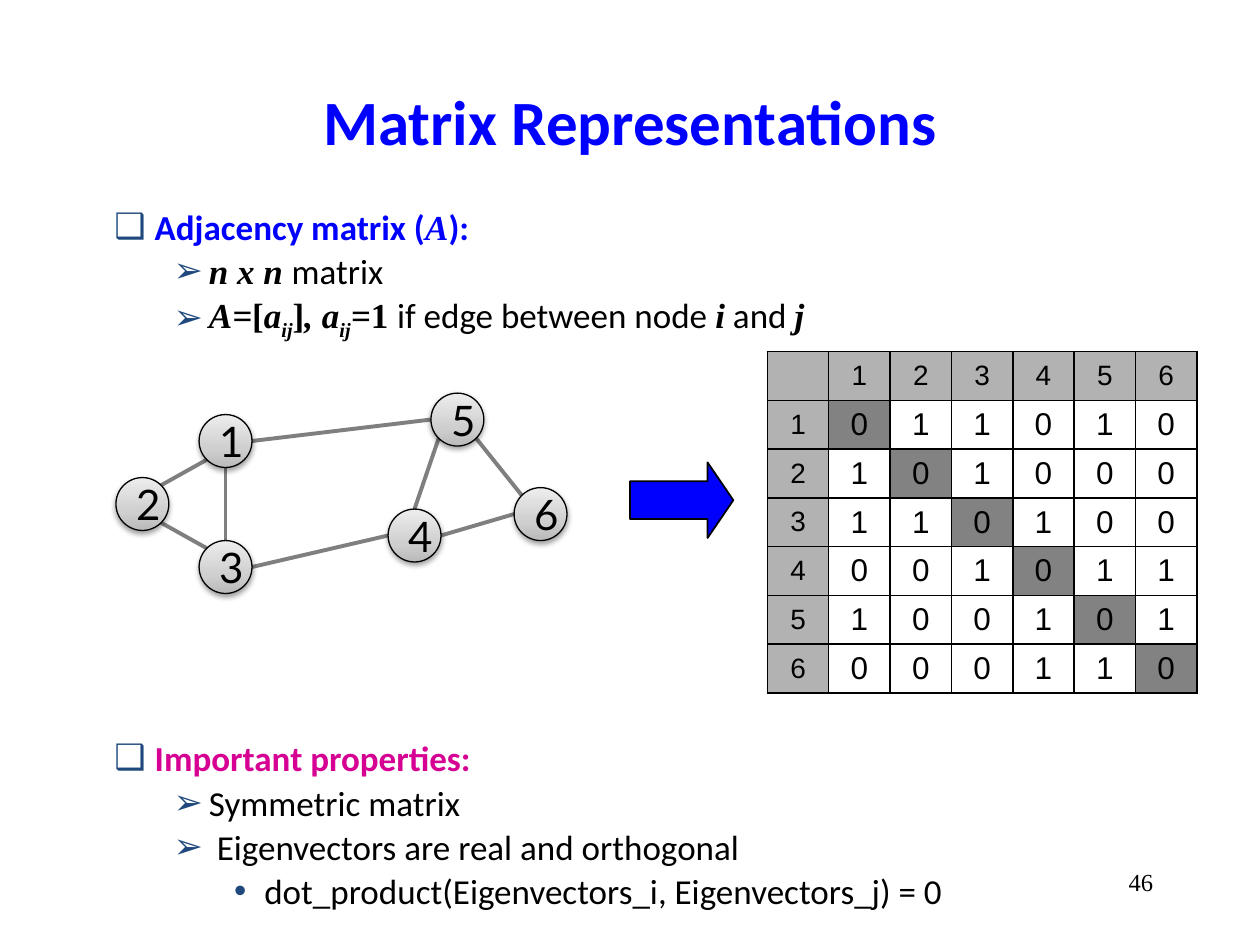
from math import cos, radians, sin

from lxml import etree
from pptx import Presentation
from pptx.dml.color import RGBColor
from pptx.enum.shapes import MSO_CONNECTOR, MSO_SHAPE
from pptx.enum.text import MSO_ANCHOR, PP_ALIGN
from pptx.oxml import parse_xml
from pptx.oxml.ns import nsdecls, qn
from pptx.util import Inches, Pt

CENTER, RIGHT = PP_ALIGN.CENTER, PP_ALIGN.RIGHT
TOP, MIDDLE = MSO_ANCHOR.TOP, MSO_ANCHOR.MIDDLE
OVAL, ARROW = MSO_SHAPE.OVAL, MSO_SHAPE.RIGHT_ARROW
STRAIGHT = MSO_CONNECTOR.STRAIGHT

BLACK, BLUE, PINK, NAVY = "000000", "0000FF", "D60093", "1F497D"
HEADER_GRAY, EDGE_GRAY = "B2B2B2", "7F7F7F"

# Run styles: font, bold, italic, baseline shift
PLAIN = ("Calibri", False, False, 0)
BOLD = ("Calibri", True, False, 0)
SERIF = ("Times New Roman", True, False, 0)
MATH = ("Times New Roman", True, True, 0)
SUB = ("Times New Roman", True, True, -25000)

# Outline levels: bullet, left margin, hanging indent, space before in points
LEVELS = [("❑", 0.38, 0.32, 1.4), ("➢", 0.81, 0.28, 1.2), ("•", 1.25, 0.24, 1.1)]

ADJACENCY_OUTLINE = [
    (0, BLUE, [("Adjacency matrix (", BOLD), ("A", MATH), ("):", BOLD)]),
    (1, BLACK, [("n x n ", MATH), ("matrix", PLAIN)]),
    (1, BLACK, [("A=", MATH), ("[", SERIF), ("a", MATH), ("ij", SUB), ("]", SERIF),
                (", a", MATH), ("ij", SUB), ("=", MATH), ("1 ", SERIF),
                ("if edge between node ", PLAIN), ("i", MATH), (" and ", PLAIN),
                ("j", MATH)]),
]
PROPERTIES_OUTLINE = [
    (0, PINK, [("Important properties:", BOLD)]),
    (1, BLACK, [("Symmetric matrix", PLAIN)]),
    (1, BLACK, [(" Eigenvectors are real and orthogonal", PLAIN)]),
    (2, BLACK, [("dot_product(Eigenvectors_i, Eigenvectors_j) = 0", PLAIN)]),
]

# Node centres relative to the graph's top left corner
NODE_SIZE = 0.42
NODES = {1: (0.87, 0.38), 2: (0.21, 0.88), 3: (0.87, 1.38),
         4: (2.37, 1.13), 5: (2.71, 0.21), 6: (3.37, 0.96)}
# Node pair -> clockwise angles at which the edge leaves and enters
EDGES = {(1, 2): (135, 315), (2, 3): (45, 225), (1, 3): (90, 270), (1, 5): (0, 180),
         (3, 4): (0, 180), (5, 6): (45, 225), (4, 6): (0, 180), (5, 4): (135, 270)}


def color(hex_code):
    return RGBColor.from_string(hex_code)


def style_font(font, name, size, hex_code, bold=False):
    font.name, font.size, font.bold = name, Pt(size), bold
    font.color.rgb = color(hex_code)


def add_text_frame(slide, box):
    frame = slide.shapes.add_textbox(*map(Inches, box)).text_frame
    frame.word_wrap = True
    return frame


def add_label(slide, box, text, align, font, anchor=TOP):
    frame = add_text_frame(slide, box)
    frame.vertical_anchor = anchor
    paragraph = frame.paragraphs[0]
    paragraph.text, paragraph.alignment = text, align
    style_font(paragraph.font, *font)


def set_bullet(paragraph, bullet, margin, hanging):
    properties = paragraph._p.get_or_add_pPr()
    properties.set("marL", str(Inches(margin)))
    properties.set("indent", str(-Inches(hanging)))
    bullet_color = etree.SubElement(properties, qn("a:buClr"))
    etree.SubElement(bullet_color, qn("a:srgbClr"), val=NAVY)
    etree.SubElement(properties, qn("a:buFont"), typeface="Arial")
    etree.SubElement(properties, qn("a:buChar"), char=bullet)


def add_outline(slide, box, outline):
    frame = add_text_frame(slide, box)
    for index, (level, hex_code, runs) in enumerate(outline):
        paragraph = frame.add_paragraph() if index else frame.paragraphs[0]
        bullet, margin, hanging, space = LEVELS[level]
        paragraph.level = level
        set_bullet(paragraph, bullet, margin, hanging)
        paragraph.space_before = Pt(space if index else 0)
        for text, (font_name, bold, italic, baseline) in runs:
            run = paragraph.add_run()
            run.text = text
            style_font(run.font, font_name, 20, hex_code, bold)
            run.font.italic = italic
            if baseline:
                run._r.get_or_add_rPr().set("baseline", str(baseline))


def add_arrow(slide, box):
    arrow = slide.shapes.add_shape(ARROW, *map(Inches, box))
    arrow.adjustments[1] = 0.34
    arrow.shadow.inherit = False
    arrow.fill.solid()
    arrow.fill.fore_color.rgb = color(BLUE)
    arrow.line.color.rgb = color(BLACK)
    arrow.line.width = Pt(1)


def add_edge(shapes, start, end):
    edge = shapes.add_connector(STRAIGHT, *map(Inches, (*start, *end)))
    edge.line.color.rgb = color(EDGE_GRAY)
    edge.line.width = Pt(2.25)
    etree.SubElement(edge._element.spPr, qn("a:effectLst"))


def add_node(shapes, center, number):
    corner = [Inches(value - NODE_SIZE / 2) for value in center]
    node = shapes.add_shape(OVAL, *corner, Inches(NODE_SIZE), Inches(NODE_SIZE))
    node.line.color.rgb = color(BLACK)
    node.line.width = Pt(0.75)
    node.fill.gradient()
    properties = node._element.spPr
    stops = "".join(
        f'<a:gs pos="{position}000"><a:srgbClr val="{shade}"/></a:gs>'
        for position, shade in ((0, "BABABA"), (35, "CFCFCF"), (100, "EDEDED")))
    properties.replace(properties.find(qn("a:gradFill")), parse_xml(
        f'<a:gradFill {nsdecls("a")} rotWithShape="1"><a:gsLst>{stops}</a:gsLst>'
        '<a:lin ang="16200000" scaled="0"/></a:gradFill>'))
    node.shadow.inherit = False
    properties.find(qn("a:effectLst")).append(parse_xml(
        f'<a:outerShdw {nsdecls("a")} blurRad="{Pt(3.1)}" dist="{Pt(1.6)}" dir="5400000"'
        ' rotWithShape="0"><a:srgbClr val="000000"><a:alpha val="37000"/></a:srgbClr>'
        '</a:outerShdw>'))
    node.text_frame.vertical_anchor = MIDDLE
    paragraph = node.text_frame.paragraphs[0]
    paragraph.text, paragraph.alignment = str(number), CENTER
    style_font(paragraph.font, "Lato", 24, BLACK)


def add_graph(slide, left, top):
    shapes = slide.shapes.add_group_shape().shapes
    centers = {number: (left + x, top + y) for number, (x, y) in NODES.items()}

    def rim_point(number, angle):
        x, y = centers[number]
        turn, radius = radians(angle), NODE_SIZE / 2
        return x + radius * cos(turn), y + radius * sin(turn)

    for pair, angles in EDGES.items():
        add_edge(shapes, *map(rim_point, pair, angles))
    for number, center in centers.items():
        add_node(shapes, center, number)


def style_cell(cell, text, size):
    cell.vertical_anchor = MIDDLE
    cell.margin_top = cell.margin_bottom = Inches(0.03)
    paragraph = cell.text_frame.paragraphs[0]
    paragraph.text, paragraph.alignment = text, CENTER
    style_font(paragraph.font, "Arial", size, BLACK)
    properties = cell._tc.get_or_add_tcPr()
    for position, side in enumerate(("lnL", "lnR", "lnT", "lnB")):
        properties.insert(position, parse_xml(
            f'<a:{side} {nsdecls("a")} w="{Pt(1)}"><a:solidFill>'
            f'<a:srgbClr val="{BLACK}"/></a:solidFill></a:{side}>'))


def add_matrix(slide, box):
    count = len(NODES) + 1
    left, top, width, height = map(Inches, box)
    table = slide.shapes.add_table(count, count, left, top, width, height).table
    table.first_row = table.horz_banding = False
    for line in range(count):
        table.columns[line].width = width // count
        table.rows[line].height = height // count
    for row in range(count):
        for column in range(count):
            cell = table.cell(row, column)
            if row == 0 or column == 0:
                style_cell(cell, str(row or column or ""), 16)
                cell.margin_left = cell.margin_right = Inches(0.08)
                cell.fill.solid()
                cell.fill.fore_color.rgb = color(HEADER_GRAY)
                continue
            linked = (row, column) in EDGES or (column, row) in EDGES
            style_cell(cell, str(int(linked)), 18)
            cell.margin_left = cell.margin_right = Inches(0.1)
            if row == column:
                cell.fill.solid()
                cell.fill.fore_color.rgb = color(BLACK)
                shade = cell._tc.tcPr.find(qn("a:solidFill"))[0]
                etree.SubElement(shade, qn("a:alpha"), val="49000")
            else:
                cell.fill.background()


def main():
    deck = Presentation()
    deck.slide_width, deck.slide_height = Inches(10), Inches(7.5)
    slide = deck.slides.add_slide(deck.slide_layouts[6])
    add_label(slide, (0.75, 0.33, 8.5, 1.25), "Matrix Representations", CENTER,
              ("Calibri", 36, BLUE, True), MIDDLE)
    add_outline(slide, (0.75, 1.58, 8.5, 1.2), ADJACENCY_OUTLINE)
    add_outline(slide, (0.75, 5.8, 8.5, 1.5), PROPERTIES_OUTLINE)
    add_label(slide, (7.17, 6.83, 2.08, 0.5), "46", RIGHT, ("Times New Roman", 14, BLACK))
    add_arrow(slide, (5, 3.67, 0.82, 0.6))
    add_graph(slide, 0.92, 3.12)
    add_matrix(slide, (6.09, 2.79, 3.41, 2.71))
    deck.save("out.pptx")


if __name__ == "__main__":
    main()
